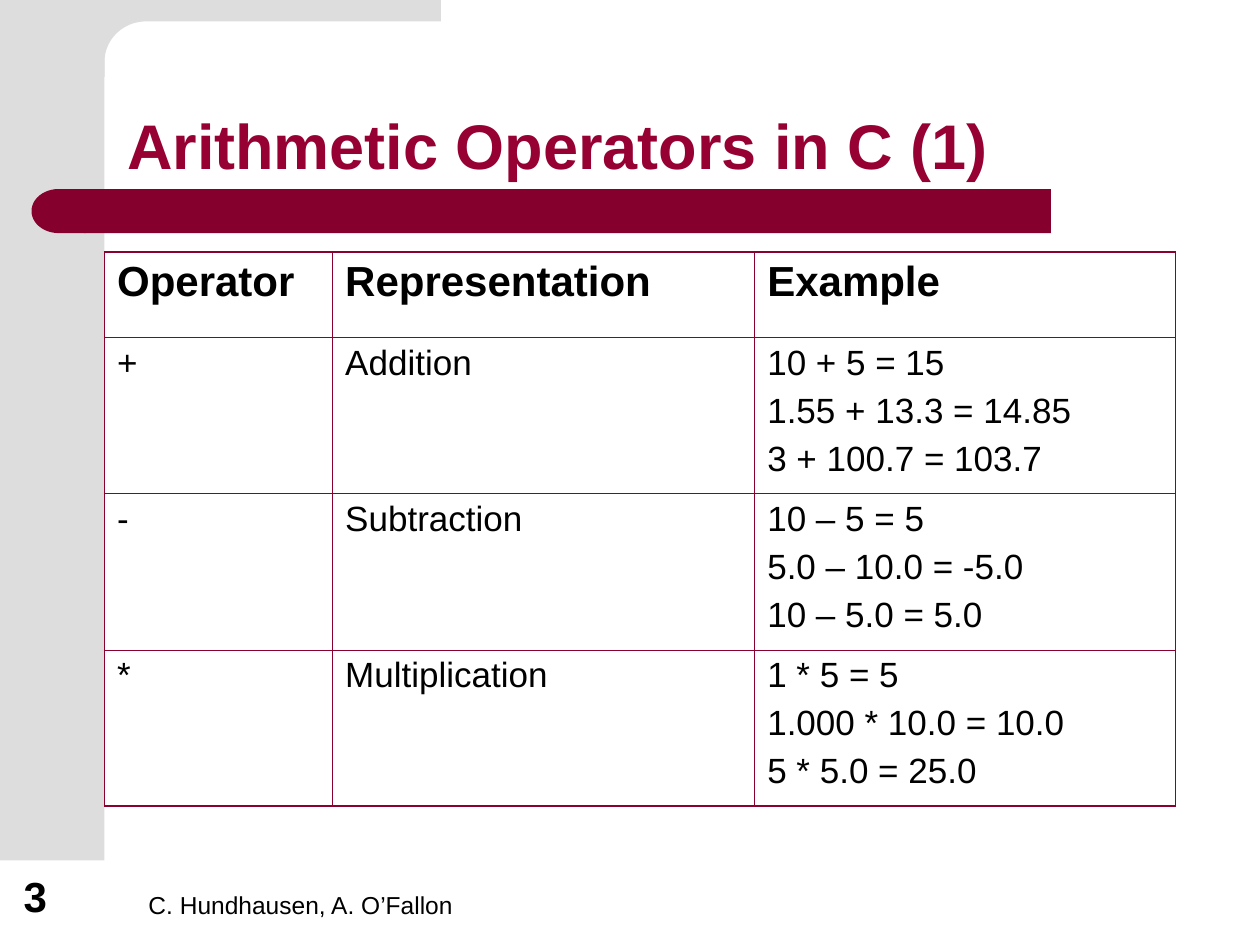
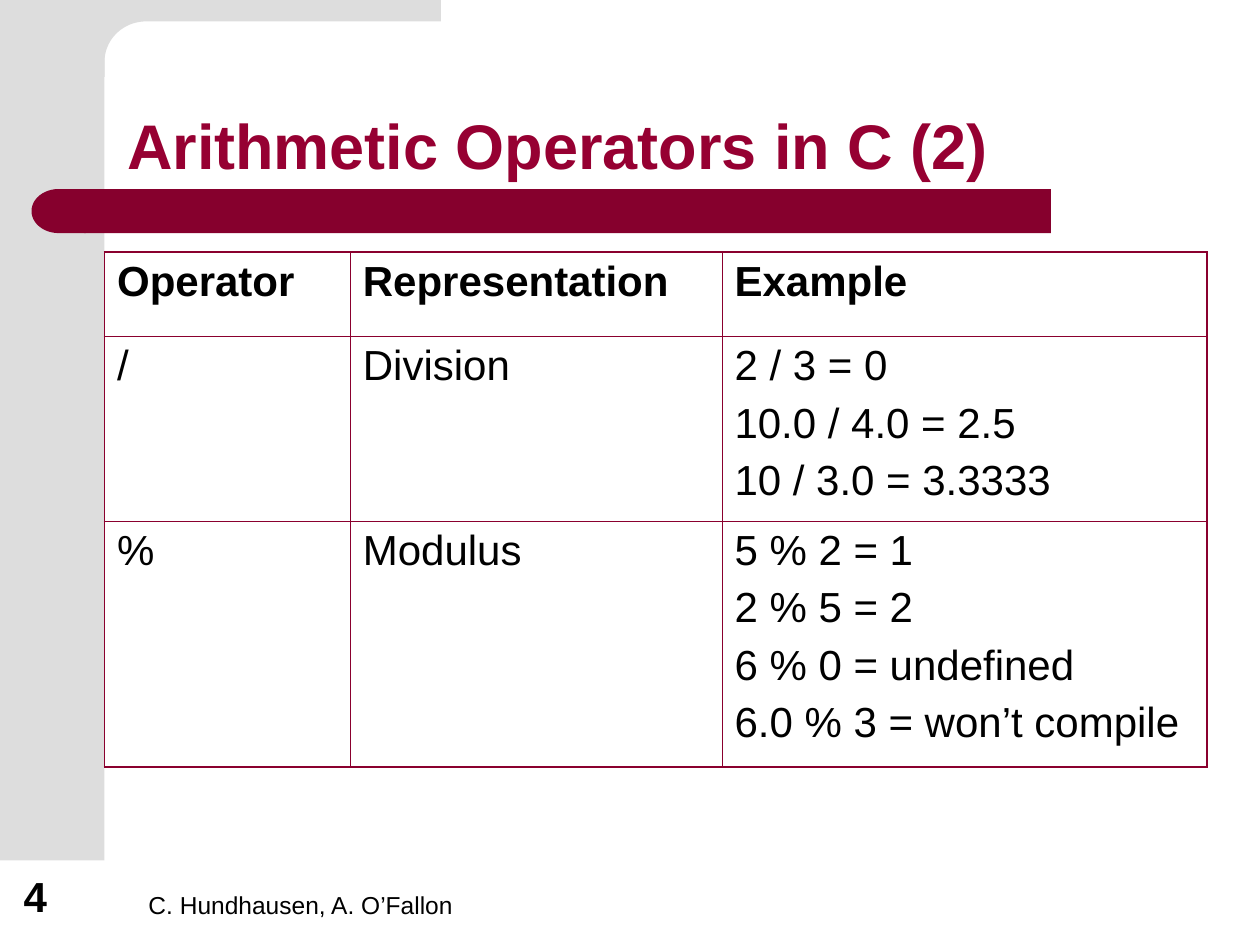
from lxml import etree
from pptx import Presentation
from pptx.dml.color import RGBColor
from pptx.enum.shapes import MSO_SHAPE
from pptx.enum.text import MSO_ANCHOR
from pptx.oxml.ns import qn
from pptx.util import Inches, Pt
from math import cos, pi, sin

RECT = MSO_SHAPE.RECTANGLE
DELAY = MSO_SHAPE.FLOWCHART_DELAY
BOTTOM = MSO_ANCHOR.BOTTOM

COLORS = {"grey": "DDDDDD", "band": "86002D", "title": "960032",
          "border": "8A002E", "text": "000000"}
FONT = "Arial"
FORMATS = {
    "title": {"size": Pt(36), "bold": True, "color": "title"},
    "footer": {"size": Pt(14), "bold": False, "color": "text"},
    "number": {"size": Pt(24), "bold": True, "color": "text"},
    "header": {"size": Pt(24), "bold": True, "color": "text"},
}
FOOTER = "C. Hundhausen, A. O’Fallon"
HEADER = ("Operator", "Representation", "Example")
OUTER, INNER = 1.08, 0.45

SLIDES = [
    {"number": 3, "title": "Arithmetic Operators in C (1)",
     "size": 20, "gap": 5,
     "cols": (1.81, 3.35, 3.34), "heights": (0.68, 1.23, 1.23, 1.23),
     "rows": [
         ("+", "Addition",
          ["10 + 5 = 15", "1.55 + 13.3 = 14.85", "3 + 100.7 = 103.7"]),
         ("-", "Subtraction",
          ["10 – 5 = 5", "5.0 – 10.0 = -5.0", "10 – 5.0 = 5.0"]),
         ("*", "Multiplication",
          ["1 * 5 = 5", "1.000 * 10.0 = 10.0", "5 * 5.0 = 25.0"]),
     ]},
    {"number": 4, "title": "Arithmetic Operators in C (2)",
     "size": 24, "gap": 6,
     "cols": (1.95, 2.95, 3.85), "heights": (0.67, 1.46, 1.94),
     "rows": [
         ("/", "Division",
          ["2 / 3 = 0", "10.0 / 4.0 = 2.5", "10 / 3.0 = 3.3333"]),
         ("%", "Modulus",
          ["5 % 2 = 1", "2 % 5 = 2", "6 % 0 = undefined",
           "6.0 % 3 = won’t compile"]),
     ]},
]


def rgb(name):
    return RGBColor.from_string(COLORS[name])


def paint(sp, color):
    sp.shadow.inherit = False
    sp.fill.solid()
    sp.fill.fore_color.rgb = rgb(color)
    sp.line.fill.background()


def add_block(s, kind, box, color):
    sp = s.shapes.add_shape(kind, *map(Inches, box))
    paint(sp, color)
    return sp


def write(tf, lines, fmt, gap=0):
    for i, line in enumerate(lines):
        p = tf.paragraphs[0] if i == 0 else tf.add_paragraph()
        if i:
            p.space_before = Pt(gap)
        r = p.add_run()
        r.text = line
        r.font.name = FONT
        r.font.color.rgb = rgb(fmt["color"])
        for key in ("size", "bold"):
            setattr(r.font, key, fmt[key])


def add_text(s, box, text, style):
    tf = s.shapes.add_textbox(*map(Inches, box)).text_frame
    tf.word_wrap = True
    tf.vertical_anchor = BOTTOM
    write(tf, [text], FORMATS[style])
    return tf


def add_corner(s):
    left, top, rx, ry = 0.83, 0.17, 0.33, 0.32
    steps = 24
    arc = [(left + rx * (1 - sin(a)), top + ry * (1 - cos(a)))
           for a in (pi / 2 * i / steps for i in range(steps + 1))]
    points = [(3.5, 0), (3.5, top), *arc, (left, 0.61), (0.5, 0.61), (0.5, 0)]
    points = [(Inches(x), Inches(y)) for x, y in points]
    fb = s.shapes.build_freeform(*points[0], scale=1.0)
    fb.add_line_segments(points[1:], close=True)
    paint(fb.convert_to_shape(), "grey")


def add_frame(s, title, number):
    add_block(s, RECT, (0, 0, 0.83, 6.83), "grey")
    add_corner(s)
    add_block(s, RECT, (0.67, 1.5, 7.67, 0.35), "band")
    add_block(s, DELAY, (0.25, 1.5, 0.43, 0.35), "band").rotation = 180
    add_text(s, (1.08, 6.83, 3.75, 0.52), FOOTER, "footer")
    add_text(s, (0.09, 6.83, 0.64, 0.53), str(number), "number")
    tf = add_text(s, (0.91, 0.41, 8.51, 1.09), title, "title")
    tf.paragraphs[0].line_spacing = 0.9


def set_borders(cell, outer_sides):
    tcPr = cell._tc.get_or_add_tcPr()
    for side, outer in zip("LRTB", outer_sides):
        width = Pt(OUTER if outer else INNER)
        ln = etree.SubElement(tcPr, qn(f"a:ln{side}"), w=str(width))
        fill = etree.SubElement(ln, qn("a:solidFill"))
        etree.SubElement(fill, qn("a:srgbClr"), val=COLORS["border"])


def add_operator_table(s, data):
    cols, heights = data["cols"], data["heights"]
    box = (0.83, 2, sum(cols), sum(heights))
    tbl = s.shapes.add_table(len(heights), len(cols), *map(Inches, box)).table
    tbl.first_row = tbl.horz_banding = False
    for col, width in zip(tbl.columns, cols):
        col.width = Inches(width)
    body = {"size": Pt(data["size"]), "bold": False, "color": "text"}
    for i, values in enumerate([HEADER, *data["rows"]]):
        tbl.rows[i].height = Inches(heights[i])
        for j, value in enumerate(values):
            cell = tbl.cell(i, j)
            set_borders(cell, (j == 0, j == len(cols) - 1,
                               i == 0, i == len(heights) - 1))
            cell.fill.background()
            lines = value if isinstance(value, list) else [value]
            write(cell.text_frame, lines, body if i else FORMATS["header"],
                  data["gap"])


def main():
    prs = Presentation()
    prs.slide_width, prs.slide_height = Inches(10), Inches(7.5)
    for data in SLIDES:
        s = prs.slides.add_slide(prs.slide_layouts[6])
        add_frame(s, data["title"], data["number"])
        add_operator_table(s, data)
    prs.save("out.pptx")


if __name__ == "__main__":
    main()
